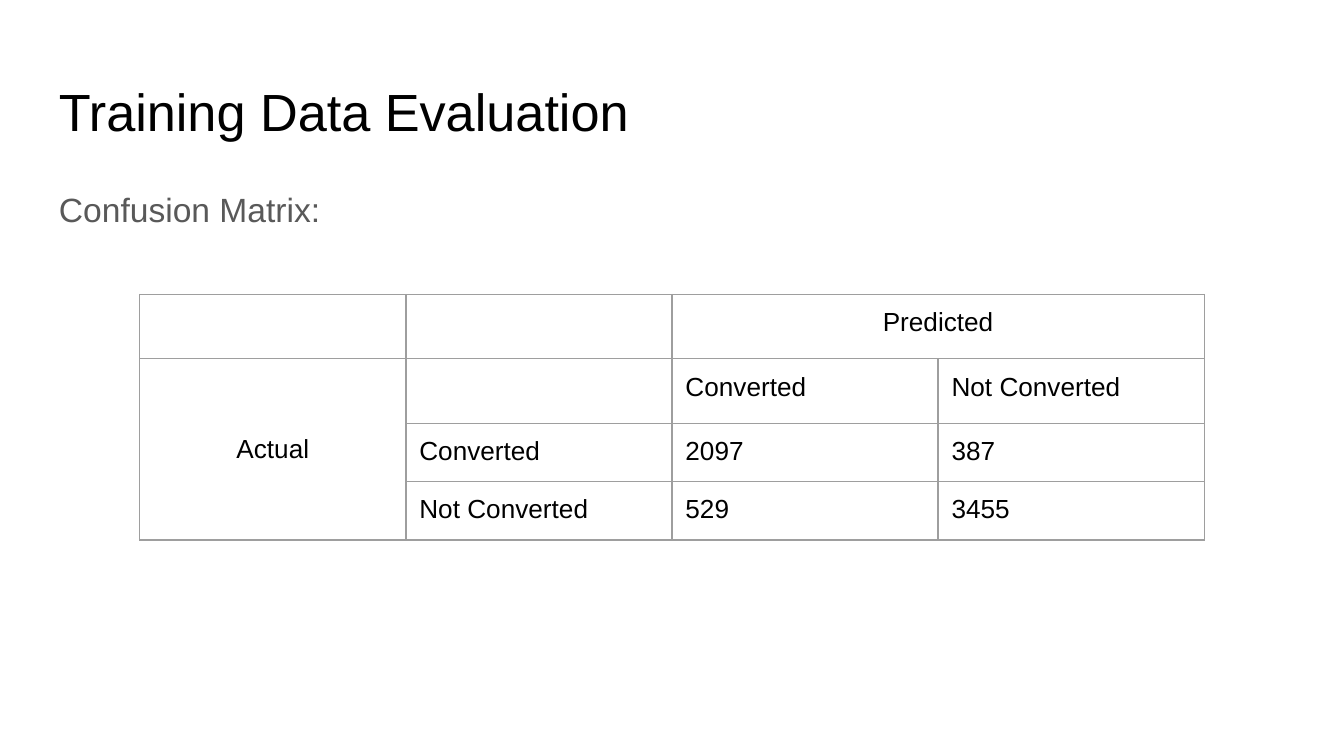
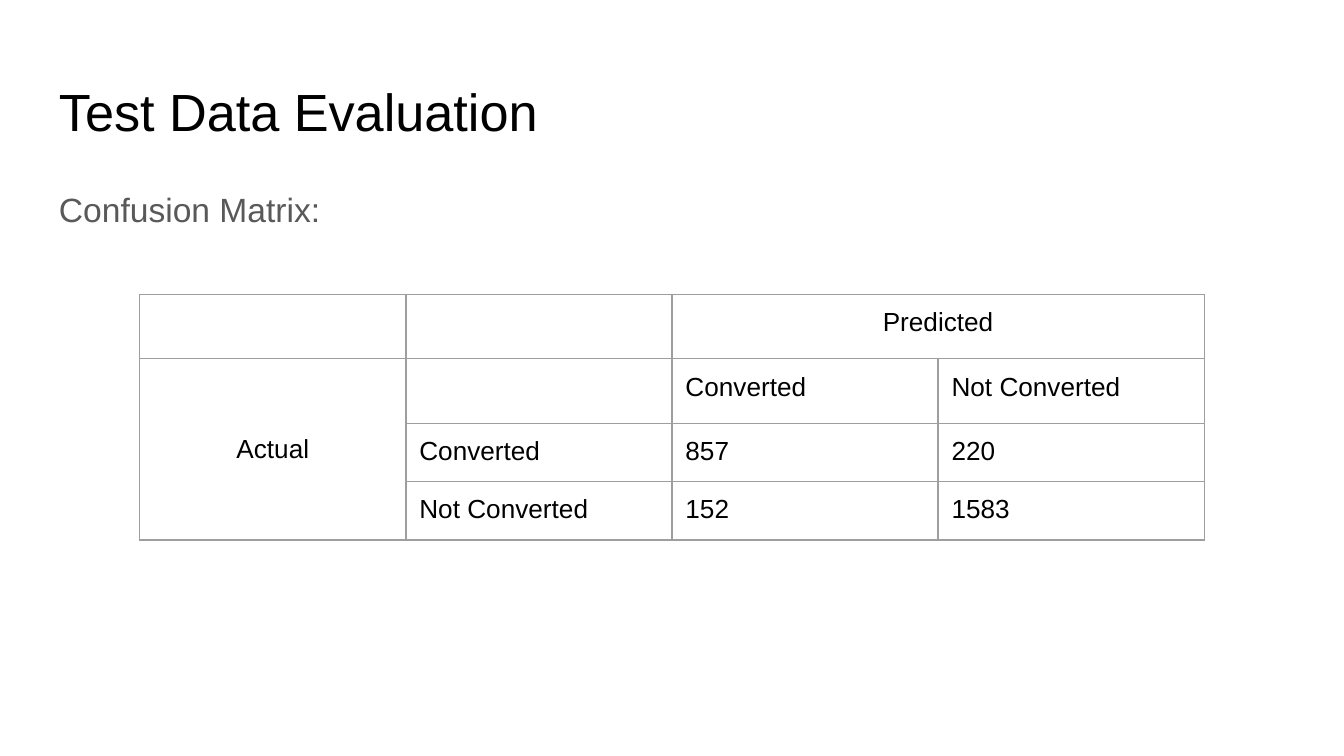
from dataclasses import dataclass

from lxml import etree
from pptx import Presentation
from pptx.dml.color import RGBColor
from pptx.enum.text import MSO_ANCHOR, PP_ALIGN
from pptx.oxml.ns import qn
from pptx.util import Inches, Pt

LEFT, CENTER = PP_ALIGN.LEFT, PP_ALIGN.CENTER
TOP, MIDDLE = MSO_ANCHOR.TOP, MSO_ANCHOR.MIDDLE


@dataclass(frozen=True)
class Theme:
    font: str = "Arial"
    background: str = "FFFFFF"
    ink: str = "000000"
    muted: str = "595959"
    border: str = "9E9E9E"
    border_width: float = 0.75
    title_size: int = 28
    body_size: int = 18
    table_size: int = 14
    padding: float = 0.1


THEME = Theme()
COLUMN_WIDTH = 1.98
ROW_HEIGHTS = (0.48, 0.48, 0.42, 0.42)
CLASSES = ("Converted", "Not Converted")
EVALUATIONS = (
    ("Training Data Evaluation", ((2097, 387), (529, 3455))),
    ("Test Data Evaluation", ((857, 220), (152, 1583))),
)


def set_padding(target):
    for side in ("left", "right", "top", "bottom"):
        setattr(target, f"margin_{side}", Inches(THEME.padding))


def add_span(para, text, size, color):
    span = para.add_run()
    span.text = text
    span.font.name = THEME.font
    span.font.size = Pt(size)
    span.font.color.rgb = RGBColor.from_string(color)


def add_text(page, text, top, height, size, color):
    box = page.shapes.add_textbox(Inches(0.34), Inches(top), Inches(9.32), Inches(height))
    frame = box.text_frame
    frame.word_wrap = True
    frame.vertical_anchor = TOP
    set_padding(frame)
    para = frame.paragraphs[0]
    add_span(para, text, size, color)
    return para


def set_borders(cell):
    properties = cell._tc.get_or_add_tcPr()
    for position, tag in enumerate(("a:lnL", "a:lnR", "a:lnT", "a:lnB")):
        line = etree.Element(qn(tag), w=str(Pt(THEME.border_width)))
        fill = etree.SubElement(line, qn("a:solidFill"))
        etree.SubElement(fill, qn("a:srgbClr"), val=THEME.border)
        properties.insert(position, line)


def set_empty_type(para):
    ending = etree.SubElement(para._p, qn("a:endParaRPr"), sz=str(THEME.table_size * 100))
    etree.SubElement(ending, qn("a:latin"), typeface=THEME.font)


def fill_cell(cell, text, align=LEFT, anchor=TOP):
    set_padding(cell)
    cell.vertical_anchor = anchor
    cell.fill.background()
    set_borders(cell)
    para = cell.text_frame.paragraphs[0]
    para.alignment = align
    if text:
        add_span(para, text, THEME.table_size, THEME.ink)
    else:
        set_empty_type(para)


def add_confusion_matrix(page, counts):
    rows = [("", "", "Predicted", ""), ("Actual", "", *CLASSES)]
    rows += [("", name, *map(str, values)) for name, values in zip(CLASSES, counts)]
    columns = len(rows[0])
    table = page.shapes.add_table(
        len(rows), columns, Inches(1.04), Inches(2.19),
        Inches(COLUMN_WIDTH * columns), Inches(sum(ROW_HEIGHTS)),
    ).table
    table.first_row = False
    table.horz_banding = False
    for column in table.columns:
        column.width = Inches(COLUMN_WIDTH)
    for row, height in zip(table.rows, ROW_HEIGHTS):
        row.height = Inches(height)
    for row_index, row in enumerate(rows):
        for column_index, text in enumerate(row):
            align = CENTER if text in ("Predicted", "Actual") else LEFT
            anchor = MIDDLE if text == "Actual" else TOP
            fill_cell(table.cell(row_index, column_index), text, align, anchor)
    table.cell(0, 2).merge(table.cell(0, 3))
    table.cell(1, 0).merge(table.cell(3, 0))


def add_evaluation_page(deck, title, counts):
    page = deck.slides.add_slide(deck.slide_layouts[6])
    page.background.fill.solid()
    page.background.fill.fore_color.rgb = RGBColor.from_string(THEME.background)
    add_text(page, title, 0.49, 0.63, THEME.title_size, THEME.ink)
    para = add_text(page, "Confusion Matrix:", 1.26, 3.74, THEME.body_size, THEME.muted)
    para.line_spacing = 1.15
    para.space_after = Pt(16)
    add_confusion_matrix(page, counts)


def main():
    deck = Presentation()
    deck.slide_width = Inches(10)
    deck.slide_height = Inches(10) * 9 // 16
    for title, counts in EVALUATIONS:
        add_evaluation_page(deck, title, counts)
    deck.save("out.pptx")


if __name__ == "__main__":
    main()
